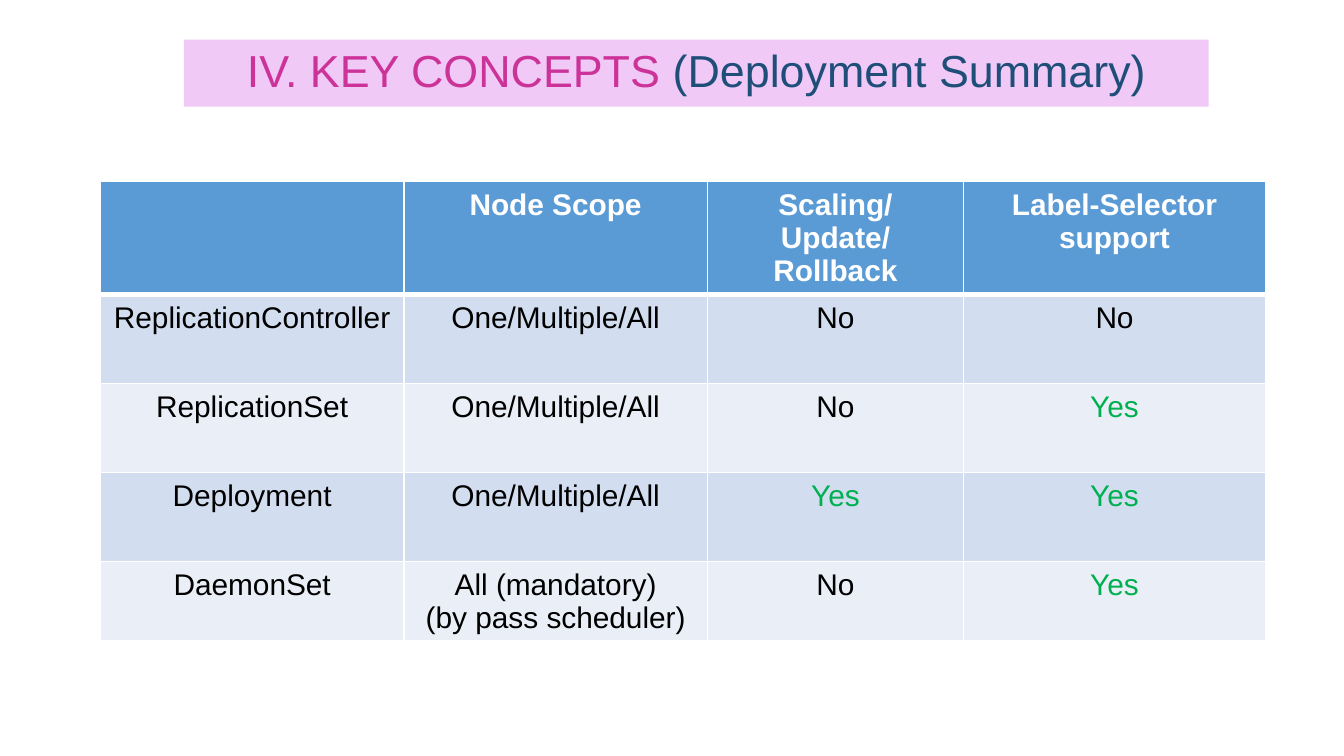
from copy import deepcopy

from lxml import etree
from pptx import Presentation
from pptx.dml.color import RGBColor
from pptx.enum.shapes import MSO_SHAPE
from pptx.enum.text import MSO_ANCHOR, PP_ALIGN
from pptx.oxml.ns import qn
from pptx.util import Pt

RECTANGLE = MSO_SHAPE.RECTANGLE
MIDDLE = MSO_ANCHOR.MIDDLE
CENTER = PP_ALIGN.CENTER

THEME = {
    "font": "Arial",
    "title_size": 24,
    "table_size": 16,
    "title_fill": "F0C9F7",
    "title_lead": "CC3399",
    "title_detail": "1F4E79",
    "header_fill": "5B9BD5",
    "band_fills": ("D2DEEF", "EAEFF7"),
    "white": "FFFFFF",
    "text": "000000",
    "yes": "00B050",
}

TITLE = [
    ("IV. KEY CONCEPTS ", "title_lead"),
    ("(Deployment Summary)", "title_detail"),
]
TABLE = [
    ("", "Node Scope", "Scaling/Update/Rollback", "Label-Selector support"),
    ("ReplicationController", "One/Multiple/All", "No", "No"),
    ("ReplicationSet", "One/Multiple/All", "No", "Yes"),
    ("Deployment", "One/Multiple/All", "Yes", "Yes"),
    ("DaemonSet", "All (mandatory)\n(by pass scheduler)", "No", "Yes"),
]

PAGE_SIZE = (720, 405)
TITLE_BOX = (98.6, 21.2, 548.9, 36)
TABLE_CORNER = (53.8, 97.2)
COLUMN_WIDTHS = (162.6, 162.6, 137.2, 161.8)
ROW_HEIGHTS = (47.7, 47.7, 47.7, 47.7, 35.3)
LABEL_MARGIN = 5


def points(values):
    return [Pt(value) for value in values]


def color(name):
    return RGBColor.from_string(name)


def set_fill(target, name):
    target.fill.solid()
    target.fill.fore_color.rgb = color(name)


def style_span(span, size, ink, bold=False):
    formats = {"name": THEME["font"], "size": Pt(size), "bold": bold}
    for key, value in formats.items():
        setattr(span.font, key, value)
    span.font.color.rgb = color(ink)


def add_title(page):
    box = page.shapes.add_shape(RECTANGLE, *points(TITLE_BOX))
    box.shadow.inherit = False
    box.line.fill.background()
    set_fill(box, THEME["title_fill"])
    frame = box.text_frame
    frame.word_wrap = True
    frame.vertical_anchor = MIDDLE
    for side in ("left", "top", "right", "bottom"):
        setattr(frame, f"margin_{side}", Pt(7.2))
    para = frame.paragraphs[0]
    para.alignment = CENTER
    para.line_spacing = 0.9
    for text, ink in TITLE:
        span = para.add_run()
        span.text = text
        style_span(span, THEME["title_size"], THEME[ink])


def add_borders(cell, top_width, bottom_width):
    """Put white borders ahead of the cell's fill, as the schema requires."""
    properties = cell._tc.get_or_add_tcPr()
    widths = {"lnL": 1, "lnR": 1, "lnT": top_width, "lnB": bottom_width}
    for position, (tag, width) in enumerate(widths.items()):
        line = etree.Element(qn(f"a:{tag}"), w=str(Pt(width)))
        fill = etree.SubElement(line, qn("a:solidFill"))
        etree.SubElement(fill, qn("a:srgbClr"), val=THEME["white"])
        properties.insert(position, line)


def write_cell(cell, text, is_header):
    para = cell.text_frame.paragraphs[0]
    para.text = text
    para.alignment = CENTER
    ink = THEME["white"] if is_header else THEME["yes" if text == "Yes" else "text"]
    for span in para.runs:
        style_span(span, THEME["table_size"], ink, is_header)
    for line_break in para._p.findall(qn("a:br")):
        line_break.append(deepcopy(para.runs[0].font._element))


def add_summary_table(page):
    size = (sum(COLUMN_WIDTHS), sum(ROW_HEIGHTS))
    table = page.shapes.add_table(
        len(TABLE), len(COLUMN_WIDTHS), *points(TABLE_CORNER + size)
    ).table
    for column, width in zip(table.columns, COLUMN_WIDTHS):
        column.width = Pt(width)
    for index, (row, height, texts) in enumerate(zip(table.rows, ROW_HEIGHTS, TABLE)):
        is_header = index == 0
        row.height = Pt(height)
        fill = THEME["header_fill"] if is_header else THEME["band_fills"][(index - 1) % 2]
        for cell, text in zip(row.cells, texts):
            write_cell(cell, text, is_header)
            set_fill(cell, fill)
            add_borders(cell, 3 if index == 1 else 1, 3 if is_header else 1)
        label = row.cells[0]
        label.margin_left = label.margin_right = Pt(LABEL_MARGIN)


def main():
    deck = Presentation()
    deck.slide_width, deck.slide_height = points(PAGE_SIZE)
    page = deck.slides.add_slide(deck.slide_layouts[6])
    add_title(page)
    add_summary_table(page)
    deck.save("out.pptx")


if __name__ == "__main__":
    main()
